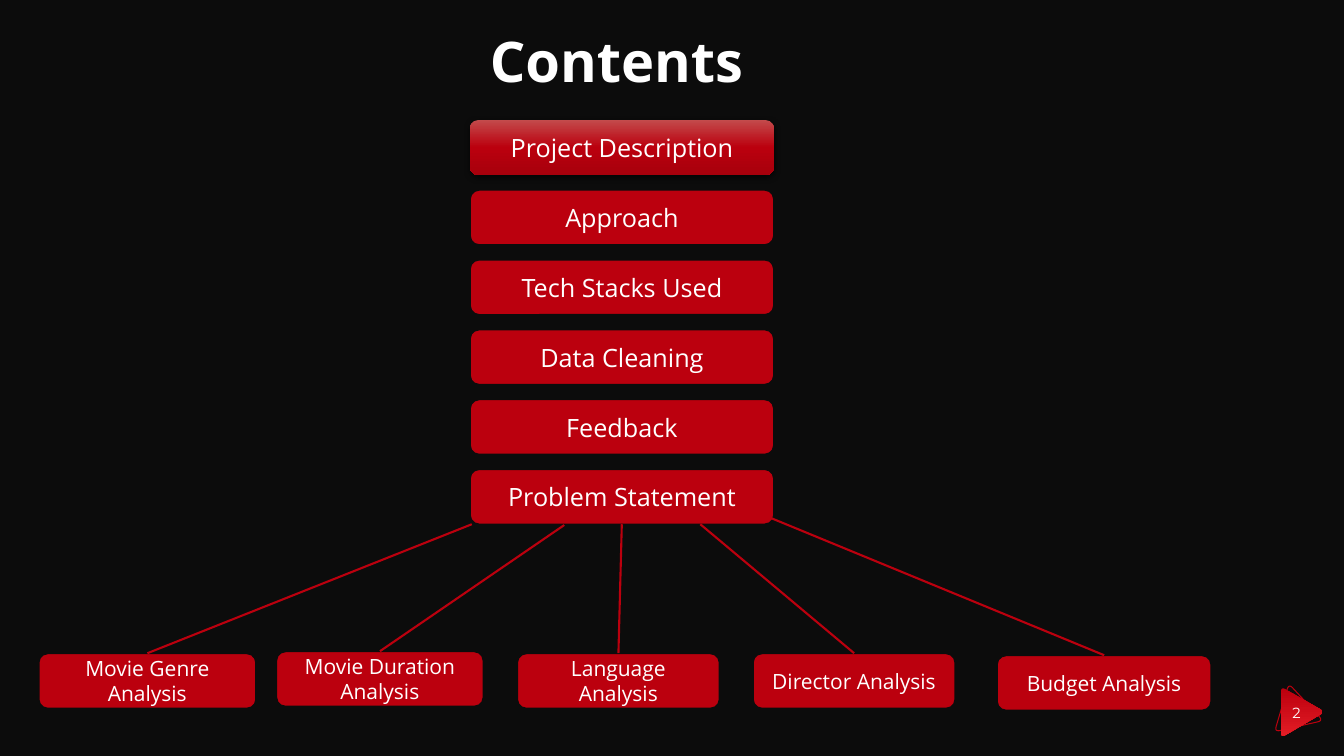
"""Build the Contents slide: a column of topics with five analysis branches."""
import dataclasses

import lxml.etree
import pptx
import pptx.dml.color
import pptx.enum.shapes
import pptx.enum.text
import pptx.oxml.ns
import pptx.util

Cm = pptx.util.Cm
Pt = pptx.util.Pt
qn = pptx.oxml.ns.qn


@dataclasses.dataclass(frozen=True)
class Theme:
    """Hold the colours, fonts and type sizes of the deck."""
    background: str = "0C0C0C"
    red: str = "BB000E"
    white: str = "FFFFFF"
    shadow: str = "000000"
    topic_gradient: tuple = ((0, "C34B4C"), (50, "BB000E"), (100, "A6000C"))
    badge_gradient: tuple = ((0, "BB000E"), (100, "E31C25"))
    font: str = "Open Sans"
    number_font: str = "Montserrat"
    title_size: float = 40
    topic_size: float = 18
    branch_size: float = 15
    number_size: float = 10.5


class ContentsSlide:
    """Draw styled elements on one slide."""

    def __init__(self, presentation, theme):
        """Add a title-only slide with the theme background."""
        self.theme = theme
        self.slide = presentation.slides.add_slide(presentation.slide_layouts[5])
        self.shapes = self.slide.shapes
        self.paint(self.slide.background.fill, theme.background)

    def paint(self, fill, colour):
        """Make a fill solid in one colour."""
        fill.solid()
        fill.fore_color.rgb = pptx.dml.color.RGBColor.from_string(colour)

    def outline(self, line, colour, width):
        """Give a line its colour and width."""
        self.paint(line.fill, colour)
        line.width = Pt(width)

    def gradient(self, shape, stops):
        """Fill a shape from top to bottom through the given stops."""
        shape.fill.gradient()
        shape.fill.gradient_angle = 270
        stop_list = next(shape._element.spPr.iter(qn("a:gsLst")))
        for old_stop in list(stop_list):
            stop_list.remove(old_stop)
        for position, colour in stops:
            stop = lxml.etree.SubElement(stop_list, qn("a:gs"), pos=str(position * 1000))
            lxml.etree.SubElement(stop, qn("a:srgbClr"), val=colour)

    def drop_shadow(self, shape):
        """Cast a soft shadow below a shape."""
        effects = shape._element.spPr.find(qn("a:effectLst"))
        shadow = lxml.etree.SubElement(
            effects, qn("a:outerShdw"), blurRad=str(Pt(4.5)), dist=str(Pt(1.5)),
            dir="5400000", algn="ctr", rotWithShape="0")
        colour = lxml.etree.SubElement(shadow, qn("a:srgbClr"), val=self.theme.shadow)
        lxml.etree.SubElement(colour, qn("a:alpha"), val="63000")

    def set_words(self, shape, words, size, centred=True, **font_format):
        """Put one formatted paragraph in a shape."""
        align = pptx.enum.text.PP_ALIGN
        anchor = pptx.enum.text.MSO_ANCHOR
        frame = shape.text_frame
        frame.text = words
        frame.word_wrap = centred
        frame.auto_size = pptx.enum.text.MSO_AUTO_SIZE.NONE
        frame.vertical_anchor = anchor.MIDDLE if centred else anchor.TOP
        paragraph = frame.paragraphs[0]
        paragraph.alignment = align.CENTER if centred else align.LEFT
        font = paragraph.runs[0].font
        formats = {"name": self.theme.font, "size": Pt(size), "bold": False, **font_format}
        for attribute, value in formats.items():
            setattr(font, attribute, value)
        self.paint(font.fill, self.theme.white)

    def title(self, words, left, top, width, height):
        """Place the slide title."""
        heading = self.shapes.title
        bounds = {"left": left, "top": top, "width": width, "height": height}
        for attribute, value in bounds.items():
            setattr(heading, attribute, Cm(value))
        self.set_words(heading, words, self.theme.title_size, centred=False, bold=True)

    def box(self, words, left, top, width, size, highlighted=False):
        """Add a rounded box with centred words."""
        box = self.shapes.add_shape(
            pptx.enum.shapes.MSO_SHAPE.ROUNDED_RECTANGLE,
            Cm(left), Cm(top), Cm(width), Cm(1.4))
        box.shadow.inherit = False
        if highlighted:
            self.gradient(box, self.theme.topic_gradient)
            box.line.fill.background()
            self.drop_shadow(box)
        else:
            self.paint(box.fill, self.theme.red)
            self.outline(box.line, self.theme.background, 1.5)
        self.set_words(box, words, size)
        return box

    def branch(self, start_x, start_y, target):
        """Draw a line from a point to the top centre of a box."""
        line = self.shapes.add_connector(
            pptx.enum.shapes.MSO_CONNECTOR.STRAIGHT,
            Cm(start_x), Cm(start_y), target.left, target.top)
        line.end_connect(target, 0)
        self.outline(line.line, self.theme.red, 1.5)
        lxml.etree.SubElement(line._element.spPr, qn("a:effectLst"))

    def rounded_triangle(self, corners, cut=0.14, steps=6):
        """Add a triangle whose corners are rounded by short curves."""
        points = []
        for index, corner in enumerate(corners):
            ends = []
            for neighbour in (corners[index - 1], corners[(index + 1) % 3]):
                delta = [n - c for n, c in zip(neighbour, corner)]
                length = sum(d * d for d in delta) ** 0.5
                ends.append([c + d * cut / length for c, d in zip(corner, delta)])
            for step in range(steps + 1):
                t = step / steps
                points.append(tuple(
                    Cm((1 - t) ** 2 * a + 2 * t * (1 - t) * c + t * t * b)
                    for a, c, b in zip(ends[0], corner, ends[1])))
        builder = self.shapes.build_freeform(*points[0])
        builder.add_line_segments(points[1:], close=True)
        triangle = builder.convert_to_shape()
        triangle.shadow.inherit = False
        return triangle

    def page_badge(self, number):
        """Draw the play-button badge with the page number."""
        rim = self.rounded_triangle([(33.34, 18.16), (32.48, 17.23), (32.12, 18.44)])
        rim.fill.background()
        self.outline(rim.line, self.theme.red, 0.75)
        button = self.rounded_triangle([(33.39, 17.94), (32.28, 17.3), (32.28, 18.59)])
        self.gradient(button, self.theme.badge_gradient)
        button.line.fill.background()
        label = self.shapes.add_textbox(Cm(32.13), Cm(17.45), Cm(1.09), Cm(1.02))
        self.set_words(label, number, self.theme.number_size, name=self.theme.number_font)


def main():
    """Build and save the presentation."""
    presentation = pptx.Presentation()
    presentation.slide_width = Cm(33.87)
    presentation.slide_height = Cm(19.05)
    theme = Theme()
    contents = ContentsSlide(presentation, theme)
    contents.page_badge("2")
    contents.title("Contents", 12.09, 0.53, 6.96, 1.96)

    topics = ["Project Description", "Approach", "Tech Stacks Used",
              "Data Cleaning", "Feedback", "Problem Statement"]
    for row, topic in enumerate(topics):
        contents.box(topic, 11.84, 3.02 + row * 1.76, 7.67, theme.topic_size,
                     highlighted=row == 0)

    analyses = [
        ("Movie Genre Analysis", 0.97, 16.46, 5.49, 11.89, 13.21),
        ("Movie Duration Analysis", 6.96, 16.41, 5.23, 14.22, 13.23),
        ("Language Analysis", 13.03, 16.46, 5.11, 15.67, 13.21),
        ("Director Analysis", 18.97, 16.46, 5.11, 17.65, 13.21),
        ("Budget Analysis", 25.12, 16.51, 5.41, 19.25, 12.98),
    ]
    for analysis, left, top, width, start_x, start_y in analyses:
        target = contents.box(analysis, left, top, width, theme.branch_size)
        contents.branch(start_x, start_y, target)

    presentation.save("out.pptx")


if __name__ == "__main__":
    main()
